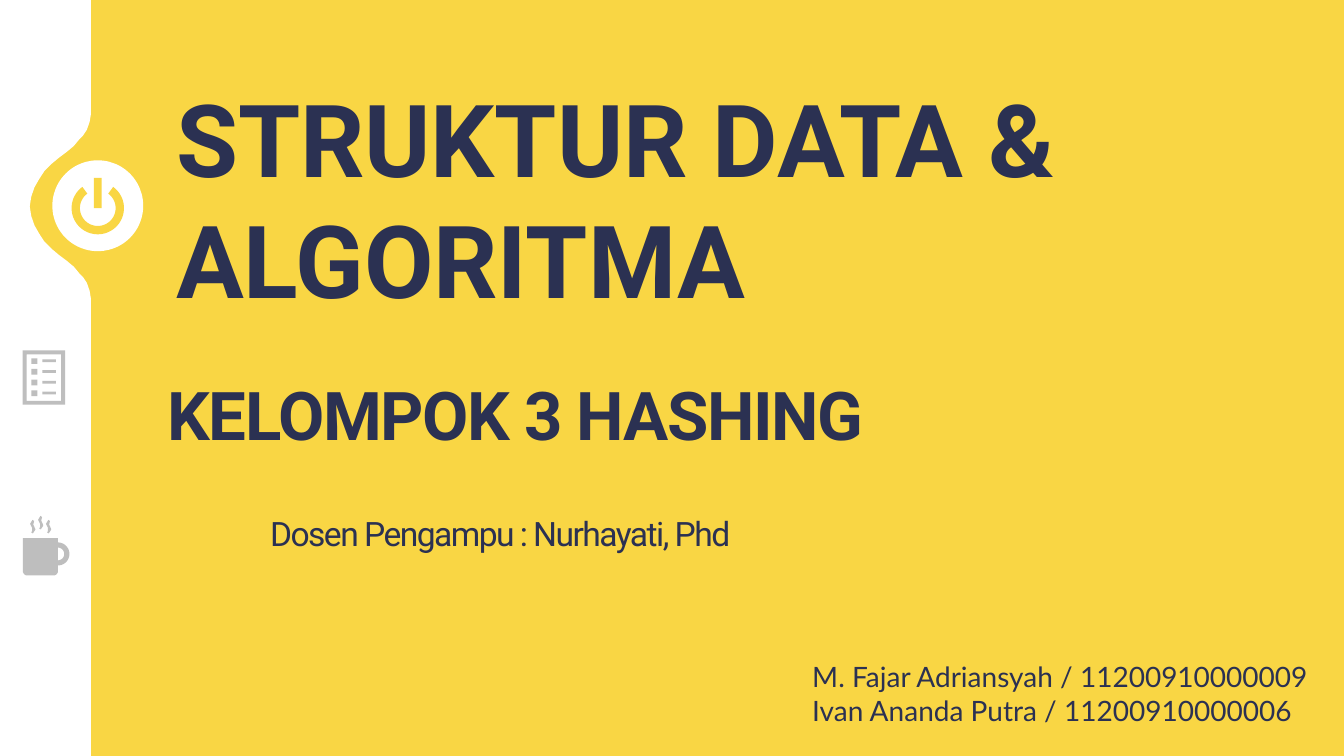
from math import cos, radians, sin

from pptx import Presentation
from pptx.dml.color import RGBColor
from pptx.enum.shapes import MSO_SHAPE as SHAPE
from pptx.enum.text import MSO_ANCHOR as ANCHOR, MSO_AUTO_SIZE as AUTO, PP_ALIGN as ALIGN
from pptx.util import Cm, Pt

COLORS = {"yellow": "F9D644", "navy": "2B3152", "white": "FFFFFF", "grey": "BEBEBE"}
WIDTH, HEIGHT = 33.87, 19.05


def paint(sp, color):
    sp.shadow.inherit = False
    sp.fill.solid()
    sp.fill.fore_color.rgb = RGBColor.from_string(COLORS[color])
    sp.line.fill.background()
    return sp


def add_preset(slide, kind, x, y, w, h, color):
    sp = slide.shapes.add_shape(kind, Cm(x), Cm(y), Cm(w), Cm(h))
    return paint(sp, color)


def add_outline(slide, contours, color):
    """Draw closed polygons, given as lists of points in cm, as one shape."""
    contours = [[(Cm(x), Cm(y)) for x, y in points] for points in contours]
    builder = slide.shapes.build_freeform(*contours[0][0])
    for i, points in enumerate(contours):
        if i:
            builder.move_to(*points[0])
        builder.add_line_segments(points[1:], close=True)
    return paint(builder.convert_to_shape(), color)


def shift(points, x, y):
    return [(x + dx, y + dy) for dx, dy in points]


def rect(x, y, w, h):
    return [(x, y), (x + w, y), (x + w, y + h), (x, y + h)]


def ring_sector(outer, inner, start, end, step=4):
    """Points of a ring sector; degrees run clockwise from the top."""
    angles = [radians(a) for a in range(start, end + 1, step)]
    return ([(outer * sin(a), -outer * cos(a)) for a in angles]
            + [(inner * sin(a), -inner * cos(a)) for a in reversed(angles)])


def fill_text(sp, lines, font, size, insets, align=ALIGN.LEFT, anchor=ANCHOR.TOP,
              bold=False, spacing=None, before=0, grow=False):
    tf = sp.text_frame
    tf.word_wrap = True
    tf.auto_size = AUTO.SHAPE_TO_FIT_TEXT if grow else AUTO.NONE
    tf.vertical_anchor = anchor
    tf.margin_left, tf.margin_top, tf.margin_right, tf.margin_bottom = map(Cm, insets)
    for i, line in enumerate(lines):
        p = tf.add_paragraph() if i else tf.paragraphs[0]
        p.alignment = align
        p.space_before = Pt(before)
        r = p.add_run()
        r.text = line
        r.font.name, r.font.size, r.font.bold = font, Pt(size), bold
        r.font.color.rgb = RGBColor.from_string(COLORS["navy"])
        if spacing:
            r.font._element.set("spc", str(spacing))


def add_text(slide, x, y, w, h, lines, **style):
    sp = slide.shapes.add_textbox(Cm(x), Cm(y), Cm(w), Cm(h))
    fill_text(sp, lines, **style)


def add_power_button(slide, x, y, size):
    cx, cy = x + size / 2, y + size / 2
    add_preset(slide, SHAPE.OVAL, x, y, size, size, "white")
    arc = shift(ring_sector(0.66, 0.45, 36, 324), cx, cy + 0.06)
    add_outline(slide, [rect(cx - 0.1, cy - 0.7, 0.2, 0.76), arc], "yellow")


def add_side_band(slide, x, y, width, height, bulge_y):
    """White band with a notch, symmetric about bulge_y, in its right edge."""
    upper = [(0, 2.31), (0.03, 2.13), (0.1, 1.93), (0.2, 1.78), (0.28, 1.7),
             (0.43, 1.52), (0.61, 1.37), (0.81, 1.22), (0.99, 1.07), (1.17, 0.89),
             (1.3, 0.69), (1.42, 0.48), (1.5, 0.25)]
    notch = [(width - d, bulge_y - dy) for d, dy in upper]
    notch.append((width - 1.54, bulge_y))
    notch += [(width - d, bulge_y + dy) for d, dy in reversed(upper)]
    corners = [(width, height), (0, height), (0, 0), (width, 0)]
    add_outline(slide, [shift(notch + corners, x, y)], "white")


def checklist(x, y, w, h, border=0.1):
    contours = [rect(x, y, w, h),
                rect(x + border, y + border, w - 2 * border, h - 2 * border)]
    for row in range(4):
        top = y + 0.2 + row * 0.27
        contours += [rect(x + 0.22, top, 0.15, 0.14),
                     rect(x + 0.5, top + 0.03, 0.34, 0.07)]
    return contours


def mug(x, y, w, h):
    right, bottom, rim = x + w - 0.28, y + h, y + h - 0.94
    body = [(x, rim), (right, rim), (right, bottom - 0.08), (right - 0.03, bottom - 0.03),
            (right - 0.08, bottom), (x + 0.08, bottom), (x + 0.03, bottom - 0.03),
            (x, bottom - 0.08)]
    handle = shift(ring_sector(0.29, 0.16, 0, 180), right, rim + 0.4)
    curl = [(0.13, 0.23), (0.08, 0.12), (0.1, 0.03), (0.06, 0), (0, 0.1),
            (0.05, 0.2), (0.05, 0.28), (0.03, 0.32), (0.07, 0.34), (0.13, 0.25)]
    steam = [shift(curl, x + dx, y + dy) for dx, dy in ((0.18, 0.1), (0.38, 0), (0.58, 0.1))]
    return [body, handle] + steam


def add_sidebar(slide, x, y, w, h):
    add_power_button(slide, x + 1.32, y + 4.04, 2.29)
    add_side_band(slide, x, y, w, h, 5.2)
    icons = checklist(x + 0.57, y + 8.83, 1.07, 1.37) + mug(x + 0.58, y + 13, 1.16, 1.5)
    add_outline(slide, icons, "grey")


def add_cover_text(slide, x, y):
    title = slide.shapes.title
    title.left, title.top, title.width, title.height = map(
        Cm, (x + 0.71, y + 9.37, 23.75, 2.08))
    fill_text(title, ["KELOMPOK 3 HASHING"], "Roboto", 48, (0, 0.03, 0, 0),
              bold=True, spacing=-100, before=1, grow=True)
    pPr = title.text_frame.paragraphs[0]._p.get_or_add_pPr()
    pPr.set("marL", str(Cm(3.51)))
    pPr.set("indent", "0")

    add_text(slide, x + 5.86, y + 12.89, 13.49, 1.07, ["Dosen Pengampu : Nurhayati, Phd"],
             font="Roboto", size=24, insets=(0, 0.03, 0, 0), align=ALIGN.CENTER,
             spacing=-110, before=1, grow=True)
    add_text(slide, x + 4.11, y + 0.94, 31.55, 7.09, ["STRUKTUR DATA &", "ALGORITMA"],
             font="Roboto", size=72, insets=(0.33, 0.33, 0.33, 0),
             anchor=ANCHOR.BOTTOM, bold=True)
    add_text(slide, x + 20.14, y + 16.62, 16.59, 1.55,
             ["M. Fajar Adriansyah / 11200910000009", "Ivan Ananda Putra / 11200910000006"],
             font="Lato", size=20, insets=(0.33, 0, 0.33, 0.33))


def build_cover(prs):
    slide = prs.slides.add_slide(prs.slide_layouts[5])
    background = add_preset(slide, SHAPE.RECTANGLE, 0, 0, WIDTH, HEIGHT, "yellow")
    tree = slide.shapes._spTree
    tree.remove(background._element)
    tree.insert(2, background._element)
    add_sidebar(slide, 0, 0, 2.29, HEIGHT)
    add_cover_text(slide, 0, 0)


def main():
    prs = Presentation()
    prs.slide_width, prs.slide_height = Cm(WIDTH), Cm(HEIGHT)
    build_cover(prs)
    prs.save("out.pptx")


if __name__ == "__main__":
    main()
